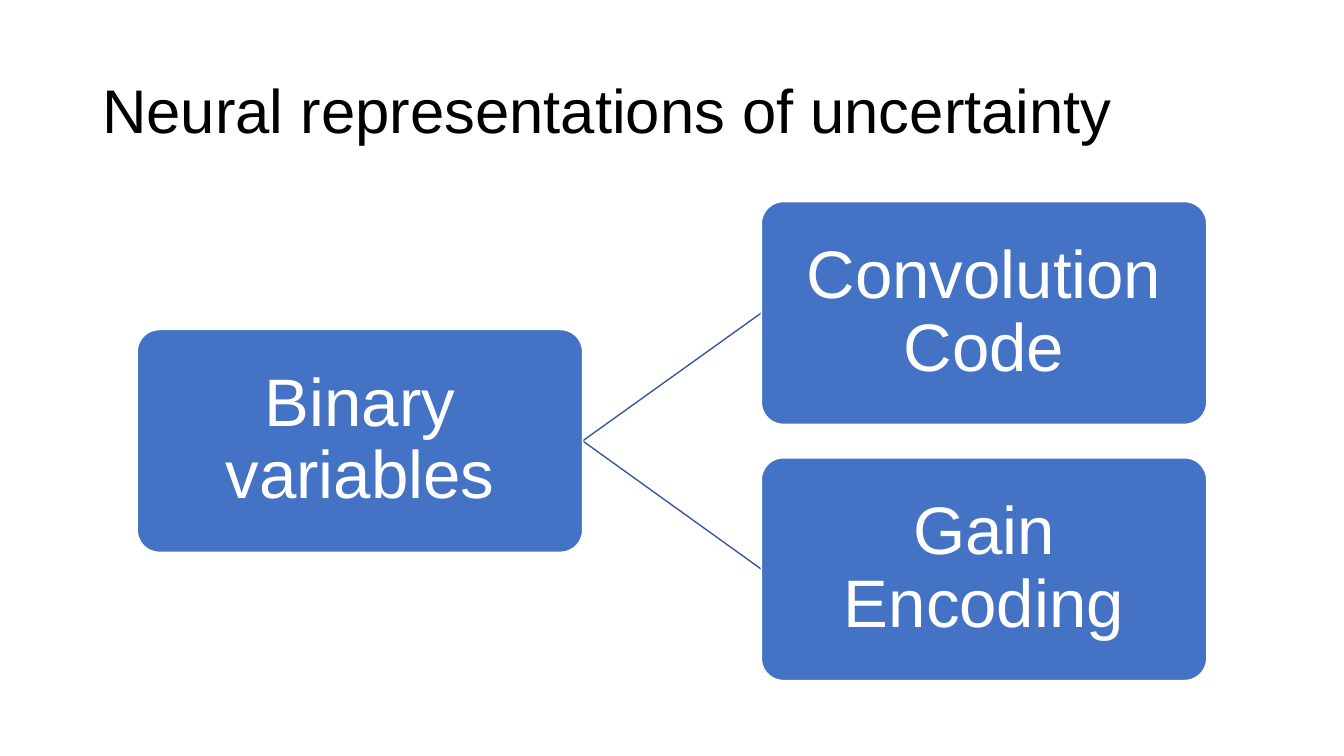
from lxml import etree
from pptx import Presentation
from pptx.dml.color import RGBColor
from pptx.enum.shapes import MSO_CONNECTOR, MSO_SHAPE
from pptx.enum.text import MSO_ANCHOR, PP_ALIGN
from pptx.oxml.ns import qn
from pptx.util import Pt

BLACK = RGBColor(0x00, 0x00, 0x00)
WHITE = RGBColor(0xFF, 0xFF, 0xFF)
BLUE = RGBColor(0x44, 0x72, 0xC4)
DARK_BLUE = RGBColor(0x36, 0x5B, 0x9D)
ROUNDED = MSO_SHAPE.ROUNDED_RECTANGLE
STRAIGHT = MSO_CONNECTOR.STRAIGHT
MIDDLE = MSO_ANCHOR.MIDDLE
LEFT, CENTER = PP_ALIGN.LEFT, PP_ALIGN.CENTER

BOX_W, BOX_H = 318.2, 159.1
ROOT_X, ROOT_Y = 98, 235.4
CHILD_X, CHILD_Y, CHILD_STEP = 543.8, 144, 183


def set_text(sp, text, size, color, align):
    tf = sp.text_frame
    tf.word_wrap = True
    tf.vertical_anchor = MIDDLE
    tf.text = text
    p = tf.paragraphs[0]
    p.alignment = align
    p.line_spacing = 0.9
    font = p.runs[0].font
    font.name, font.size, font.color.rgb = "Arial", Pt(size), color


prs = Presentation()
prs.slide_width, prs.slide_height = Pt(960), Pt(540)
s = prs.slides.add_slide(prs.slide_layouts[6])

title = s.shapes.add_textbox(Pt(66), Pt(28.75), Pt(828), Pt(104.4))
set_text(title, "Neural representations of uncertainty", 44, BLACK, LEFT)

child_tops = [CHILD_Y, CHILD_Y + CHILD_STEP]
for top in child_tops:
    line = s.shapes.add_connector(
        STRAIGHT, Pt(ROOT_X + BOX_W), Pt(ROOT_Y + BOX_H / 2),
        Pt(CHILD_X), Pt(top + BOX_H / 2))
    line.line.color.rgb = DARK_BLUE
    line.line.width = Pt(1)
    etree.SubElement(line._element.spPr, qn("a:effectLst"))

boxes = [
    ("Binary variables", ROOT_X, ROOT_Y),
    ("Convolution Code", CHILD_X, child_tops[0]),
    ("Gain Encoding", CHILD_X, child_tops[1]),
]
for text, x, y in boxes:
    box = s.shapes.add_shape(ROUNDED, Pt(x), Pt(y), Pt(BOX_W), Pt(BOX_H))
    box.adjustments[0] = 0.1
    box.shadow.inherit = False
    box.fill.solid()
    box.fill.fore_color.rgb = BLUE
    box.line.color.rgb = WHITE
    box.line.width = Pt(1)
    tf = box.text_frame
    tf.margin_left = tf.margin_right = tf.margin_top = tf.margin_bottom = Pt(2.4)
    set_text(box, text, 48, WHITE, CENTER)

prs.save("out.pptx")
